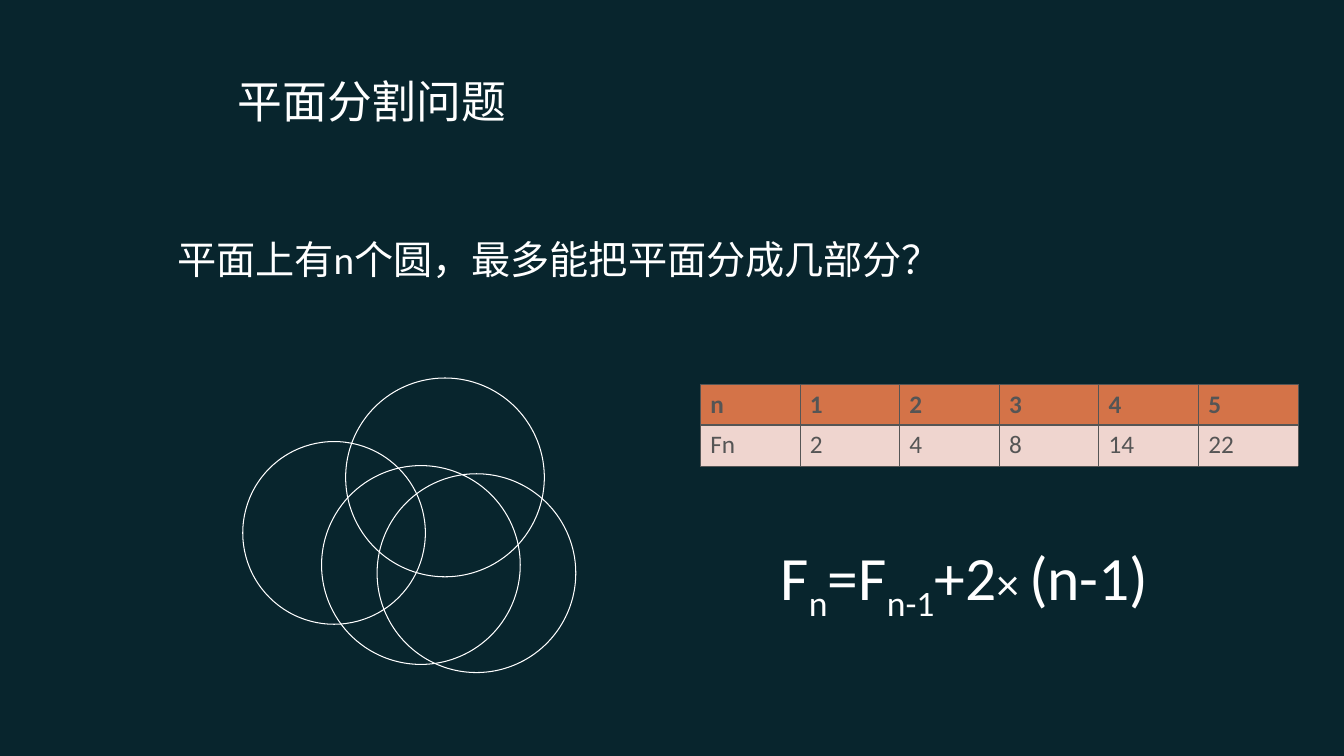
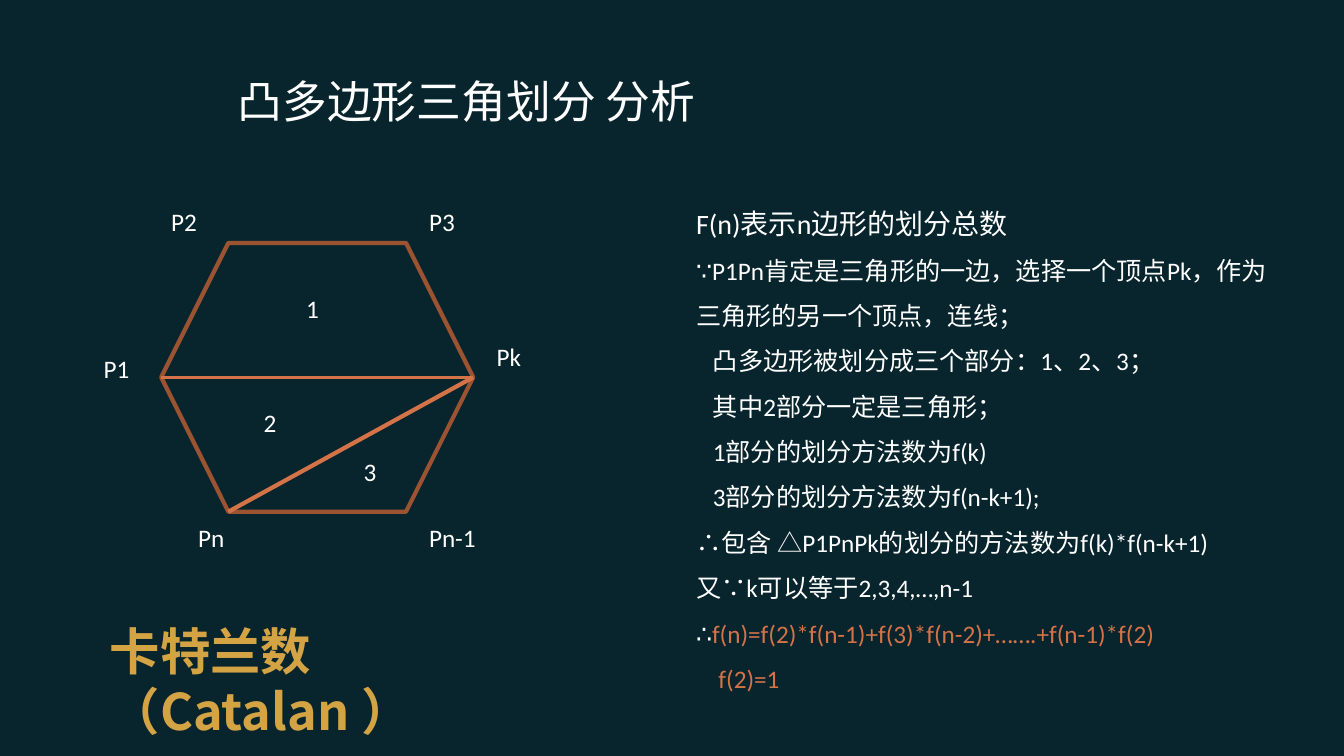
from lxml.etree import SubElement
from pptx import Presentation
from pptx.dml.color import RGBColor
from pptx.enum.shapes import MSO_CONNECTOR, MSO_SHAPE
from pptx.enum.text import MSO_ANCHOR
from pptx.oxml.ns import qn
from pptx.util import Pt

NIGHT = RGBColor(0x08, 0x25, 0x2D)
WHITE = RGBColor(0xFF, 0xFF, 0xFF)
GREY = RGBColor(0x55, 0x55, 0x55)
ORANGE = RGBColor(0xD4, 0x73, 0x48)
RUST = RGBColor(0x9B, 0x53, 0x32)
PINK = RGBColor(0xEF, 0xD5, 0xCF)
GOLD = RGBColor(0xD4, 0xA4, 0x44)

BODY = "Calibri"
HEAD = "Roboto"
CJK = "Noto Sans CJK SC"


def style(para, size, color=WHITE, name=BODY, bold=False):
    font = para.font
    font.size = Pt(size)
    font.name = name
    font.bold = bold
    font.color.rgb = color


def add_box(slide, left, top, width, height):
    box = slide.shapes.add_textbox(Pt(left), Pt(top), Pt(width), Pt(height))
    frame = box.text_frame
    frame.word_wrap = True
    return frame


def add_text(slide, area, text, size, color=WHITE, name=BODY, bold=False):
    frame = add_box(slide, *area)
    para = frame.paragraphs[0]
    para.text = text
    style(para, size, color, name, bold)
    return frame


def add_page(deck, title):
    slide = deck.slides.add_slide(deck.slide_layouts[6])
    frame = add_text(slide, (162.7, 43.2, 572.4, 56.9), title, 32, name=HEAD)
    frame.vertical_anchor = MSO_ANCHOR.MIDDLE
    return slide


def add_outline(slide, kind, area, color, weight):
    shape = slide.shapes.add_shape(kind, *map(Pt, area))
    shape.shadow.inherit = False
    shape.fill.background()
    shape.line.color.rgb = color
    shape.line.width = Pt(weight)


def add_line(slide, start, end, weight):
    line = slide.shapes.add_connector(
        MSO_CONNECTOR.STRAIGHT, *map(Pt, start + end))
    line.line.color.rgb = ORANGE
    line.line.width = Pt(weight)
    SubElement(line._element.spPr, qn("a:effectLst"))


def add_edge(cell, side, weight):
    props = cell._tc.get_or_add_tcPr()
    edge = SubElement(props, qn("a:ln" + side), w=str(Pt(weight)))
    fill = SubElement(edge, qn("a:solidFill"))
    SubElement(fill, qn("a:srgbClr"), val=str(GREY))


def add_grid(slide, left, top, wide, high, rows):
    count = len(rows[0])
    table = slide.shapes.add_table(
        len(rows), count, Pt(left), Pt(top),
        Pt(wide * count), Pt(high * len(rows))).table
    for i, row in enumerate(rows):
        first = i == 0
        for j, text in enumerate(row):
            cell = table.cell(i, j)
            for side in "LRTB":
                thick = side == ("B" if first else "T")
                add_edge(cell, side, 1.47 if thick else 0.45)
            cell.fill.solid()
            cell.fill.fore_color.rgb = ORANGE if first else PINK
            para = cell.text_frame.paragraphs[0]
            para.text = text
            style(para, 18, GREY, bold=first)


def add_sum(slide):
    para = add_box(slide, 550.8, 381.6, 287.3, 67.7).paragraphs[0]
    style(para, 44)
    parts = [("F", 44, False), ("n", 44, True), ("=F", 44, False),
             ("n-1", 44, True), ("+2", 44, False), ("× ", 32, False),
             ("(n-1)", 44, False)]
    for text, size, sub in parts:
        run = para.add_run()
        run.text = text
        run.font.size = Pt(size)
        if sub:
            run._r.get_or_add_rPr().set("baseline", "-25000")


def add_proof(slide):
    frame = add_box(slide, 490.4, 131.8, 431.3, 388.8)
    lines = [
        (20, 0, "F(n)表示n边形的划分总数", ""),
        (18, 0, "∵P1Pn肯定是三角形的一边，选择一个顶点Pk，"
                "作为三角形的另一个顶点，连线；", ""),
        (18, 12, "凸多边形被划分成三个部分：1、2、3；", ""),
        (18, 12, "其中2部分一定是三角形；", ""),
        (18, 12, "1部分的划分方法数为f(k)", ""),
        (18, 12, "3部分的划分方法数为f(n-k+1);", ""),
        (18, 0, "∴包含 △P1PnPk的划分的方法数为f(k)*f(n-k+1)", ""),
        (18, 0, "又∵k可以等于2,3,4,…,n-1", ""),
        (18, 0, "∴", "f(n)=f(2)*f(n-1)+f(3)*f(n-2)+…….+f(n-1)*f(2)"),
        (18, 16, "", "f(2)=1"),
    ]
    for i, (size, indent, plain, accent) in enumerate(lines):
        para = frame.add_paragraph() if i else frame.paragraphs[0]
        para.line_spacing = 1.5
        para._p.get_or_add_pPr().set("marL", str(Pt(indent)))
        style(para, size)
        for text, color in ((plain, WHITE), (accent, ORANGE)):
            if text:
                run = para.add_run()
                run.text = text
                run.font.color.rgb = color


def draw_circles(deck):
    slide = add_page(deck, "平面分割问题")
    add_text(slide, (119.5, 164.2, 622, 41),
             "平面上有n个圆，最多能把平面分成几部分？", 28)
    circles = [(173.5, 315.4, 130.5), (247, 270, 142),
               (229.8, 332.6, 142), (269.5, 338.4, 142)]
    for left, top, size in circles:
        add_outline(slide, MSO_SHAPE.OVAL, (left, top, size, size),
                    WHITE, 0.75)
    add_sum(slide)
    add_grid(slide, 500.4, 274.3, 71.2, 29.2,
             [["n", "1", "2", "3", "4", "5"],
              ["Fn", "2", "4", "8", "14", "22"]])


def draw_hexagon(deck):
    slide = add_page(deck, "凸多边形三角划分 分析")
    left, top, width, height = area = (115.2, 173.5, 223, 192)
    add_outline(slide, MSO_SHAPE.HEXAGON, area, RUST, 3)
    right, mid = left + width, top + height / 2
    add_line(slide, (left, mid), (right, mid), 2.25)
    add_line(slide, (left + height / 4, top + height), (right, mid), 3)
    labels = [("P1", 67, 249), ("P2", 115.2, 144), ("P3", 299.5, 144),
              ("Pk", 347.8, 240.5), ("Pn-1", 299.5, 369.4),
              ("Pn", 134.6, 369.4), ("1", 211.7, 206),
              ("2", 181.4, 287.3), ("3", 252.7, 322.6)]
    for text, x, y in labels:
        add_text(slide, (x, y, 54, 29), text, 18)
    add_proof(slide)
    add_text(slide, (71.3, 439.2, 363.6, 93.6), "卡特兰数（Catalan ）",
             36, GOLD, CJK, True)


def main():
    deck = Presentation()
    deck.slide_width = Pt(960.48)
    deck.slide_height = Pt(540)
    back = deck.slide_master.background.fill
    back.solid()
    back.fore_color.rgb = NIGHT
    draw_circles(deck)
    draw_hexagon(deck)
    deck.save("out.pptx")


if __name__ == "__main__":
    main()
